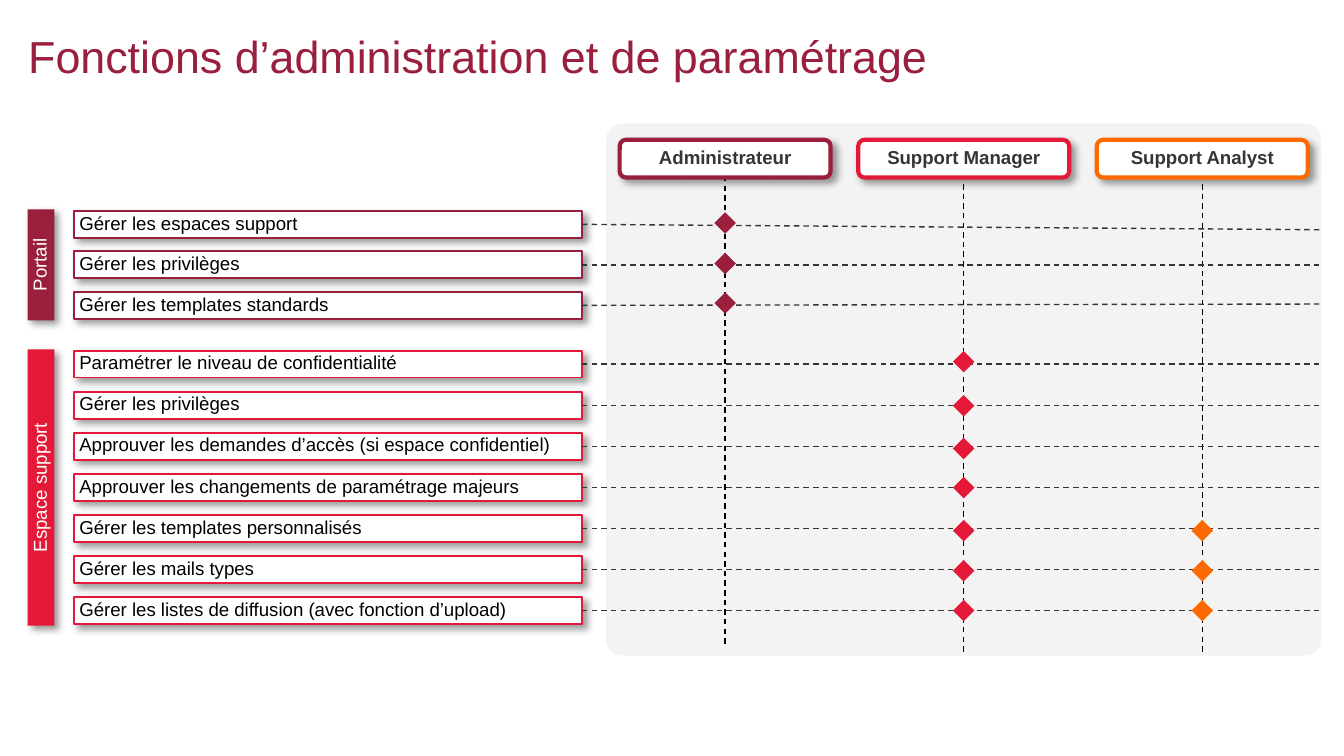
from lxml import etree
from pptx import Presentation
from pptx.dml.color import RGBColor
from pptx.enum.dml import MSO_LINE
from pptx.enum.shapes import MSO_CONNECTOR, MSO_SHAPE
from pptx.enum.text import MSO_ANCHOR, MSO_AUTO_SIZE, PP_ALIGN
from pptx.oxml.ns import qn
from pptx.util import Pt

RECTANGLE = MSO_SHAPE.RECTANGLE
ROUNDED = MSO_SHAPE.ROUNDED_RECTANGLE
DIAMOND = MSO_SHAPE.DIAMOND
STRAIGHT = MSO_CONNECTOR.STRAIGHT
DASH = MSO_LINE.DASH
MIDDLE = MSO_ANCHOR.MIDDLE
NO_AUTOFIT = MSO_AUTO_SIZE.NONE
LEFT, CENTER = PP_ALIGN.LEFT, PP_ALIGN.CENTER

PLUM, RED, ORANGE = "991F3D", "E31937", "FF6A00"
WHITE, BLACK, CHARCOAL, GREY = "FFFFFF", "000000", "363534", "D9D9D9"

ROLE_LEFT, ROLE_TOP, ROLE_WIDTH, ROLE_HEIGHT, ROLE_STEP = 332, 74.9, 113, 20.2, 127.8
ROW_LEFT, ROW_WIDTH, ROW_HEIGHT = 39.6, 272.2, 14.4
GRID_RIGHT = 707.8
GUIDE_LENGTH = 252.7
MARKER = 11.5
BAR_CENTER, BAR_OVERHANG = 22, 0.8

# Role name, colour, top of its vertical guide
ROLES = [
    ("Administrateur", PLUM, 94.3),
    ("Support Manager", RED, 98.6),
    ("Support Analyst", ORANGE, 98.6),
]

# Group name, colour, first row top, row step, rows
# Each row: label, role indexes, marker shift, drop of the guide at its right end
GROUPS = [
    ("Portail", PLUM, 113, 21.7, [
        ("Gérer les espaces support", [0], -0.7, 2.9),
        ("Gérer les privilèges", [0], -0.7, 0),
        ("Gérer les templates standards", [0], -1.2, -0.7),
    ]),
    ("Espace support", RED, 187.9, 22, [
        ("Paramétrer le niveau de confidentialité", [1], -1.3, 0),
        ("Gérer les privilèges", [1], 0.3, 0),
        ("Approuver les demandes d’accès (si espace confidentiel)", [1], 1.2, 0),
        ("Approuver les changements de paramétrage majeurs", [1], 0.2, 0),
        ("Gérer les templates personnalisés", [1, 2], 1.2, 0),
        ("Gérer les mails types", [1, 2], 0.7, 0),
        ("Gérer les listes de diffusion (avec fonction d’upload)", [1, 2], 0, 0),
    ]),
]


def color(hex_value):
    return RGBColor.from_string(hex_value)


def set_attributes(target, values):
    for name, value in values.items():
        setattr(target, name, value)


def role_center(index):
    return ROLE_LEFT + ROLE_WIDTH / 2 + index * ROLE_STEP


def write_text(shape, text, size, text_color, margin, alignment, spacing=1.0, bold=False):
    frame = shape.text_frame
    set_attributes(frame, {
        "text": text, "word_wrap": True, "auto_size": NO_AUTOFIT,
        "vertical_anchor": MIDDLE,
        "margin_left": Pt(margin), "margin_right": Pt(margin),
        "margin_top": Pt(margin), "margin_bottom": Pt(margin),
    })
    paragraph = frame.paragraphs[0]
    set_attributes(paragraph, {"alignment": alignment, "line_spacing": spacing})
    font = paragraph.runs[0].font
    set_attributes(font, {"name": "Arial", "size": Pt(size), "bold": bold})
    font.color.rgb = color(text_color)


def add_shadow(shape):
    """Soft black shadow towards the lower right."""
    effects = shape._element.spPr.find(qn("a:effectLst"))
    shadow = etree.SubElement(
        effects, qn("a:outerShdw"), blurRad=str(Pt(4)), dist=str(Pt(3)),
        dir=str(45 * 60000), algn="tl", rotWithShape="0")
    shadow_color = etree.SubElement(shadow, qn("a:srgbClr"), val=BLACK)
    etree.SubElement(shadow_color, qn("a:alpha"), val="40000")


def add_box(slide, kind, left, top, width, height, fill, line=None, line_width=1):
    shape = slide.shapes.add_shape(kind, Pt(left), Pt(top), Pt(width), Pt(height))
    shape.shadow.inherit = False
    shape.fill.solid()
    shape.fill.fore_color.rgb = color(fill)
    if line:
        shape.line.color.rgb = color(line)
        shape.line.width = Pt(line_width)
    else:
        shape.line.fill.background()
    return shape


def add_guide(slide, start, end, line_color):
    connector = slide.shapes.add_connector(
        STRAIGHT, *(Pt(length) for length in (*start, *end)))
    set_attributes(connector.line, {"width": Pt(0.75), "dash_style": DASH})
    connector.line.color.rgb = color(line_color)
    etree.SubElement(connector._element.spPr, qn("a:effectLst"))


def add_title(slide):
    title = slide.shapes.title
    set_attributes(title, {"left": Pt(15.1), "top": Pt(5.8),
                           "width": Pt(548.6), "height": Pt(48.2)})
    write_text(title, "Fonctions d’administration et de paramétrage",
               24, PLUM, 0, LEFT)


def add_panel(slide):
    panel = add_box(slide, ROUNDED, 324.7, 66.2, 383, 285.1, GREY)
    panel.adjustments[0] = 0.03
    fill_color = panel._element.spPr.find(qn("a:solidFill")).find(qn("a:srgbClr"))
    etree.SubElement(fill_color, qn("a:alpha"), val="30000")


def add_role(slide, index, name, role_color, guide_top):
    center = role_center(index)
    add_guide(slide, (center, guide_top), (center, guide_top + GUIDE_LENGTH), BLACK)
    header = add_box(slide, ROUNDED, center - ROLE_WIDTH / 2, ROLE_TOP,
                     ROLE_WIDTH, ROLE_HEIGHT, WHITE, role_color, 2.25)
    add_shadow(header)
    write_text(header, name, 10, CHARCOAL, 4.3, CENTER, 0.9, True)


def add_row(slide, top, row_color, label, roles, marker_shift, drop):
    middle = top + ROW_HEIGHT / 2
    box = add_box(slide, RECTANGLE, ROW_LEFT, top, ROW_WIDTH, ROW_HEIGHT, WHITE, row_color)
    add_shadow(box)
    write_text(box, label, 10, BLACK, 2.9, LEFT, 0.85)
    add_guide(slide, (ROW_LEFT + ROW_WIDTH, middle), (GRID_RIGHT, middle + drop), CHARCOAL)
    for index in roles:
        add_box(slide, DIAMOND, role_center(index) - MARKER / 2,
                middle + marker_shift - MARKER / 2, MARKER, MARKER, ROLES[index][1])


def add_group(slide, name, group_color, top, step, rows):
    """Rows of one group and the upright bar that names it."""
    for index, row in enumerate(rows):
        add_row(slide, top + index * step, group_color, *row)
    height = (len(rows) - 1) * step + ROW_HEIGHT
    length = height + 2 * BAR_OVERHANG
    bar = add_box(slide, RECTANGLE, BAR_CENTER - length / 2,
                  top + height / 2 - ROW_HEIGHT / 2, length, ROW_HEIGHT, group_color)
    bar.rotation = 270
    add_shadow(bar)
    write_text(bar, name, 10, WHITE, 2.9, CENTER, 0.85)


def main():
    presentation = Presentation()
    set_attributes(presentation, {"slide_width": Pt(720), "slide_height": Pt(405)})
    slide = presentation.slides.add_slide(presentation.slide_layouts[5])
    add_title(slide)
    add_panel(slide)
    for index, role in enumerate(ROLES):
        add_role(slide, index, *role)
    for group in GROUPS:
        add_group(slide, *group)
    presentation.save("out.pptx")


if __name__ == "__main__":
    main()
